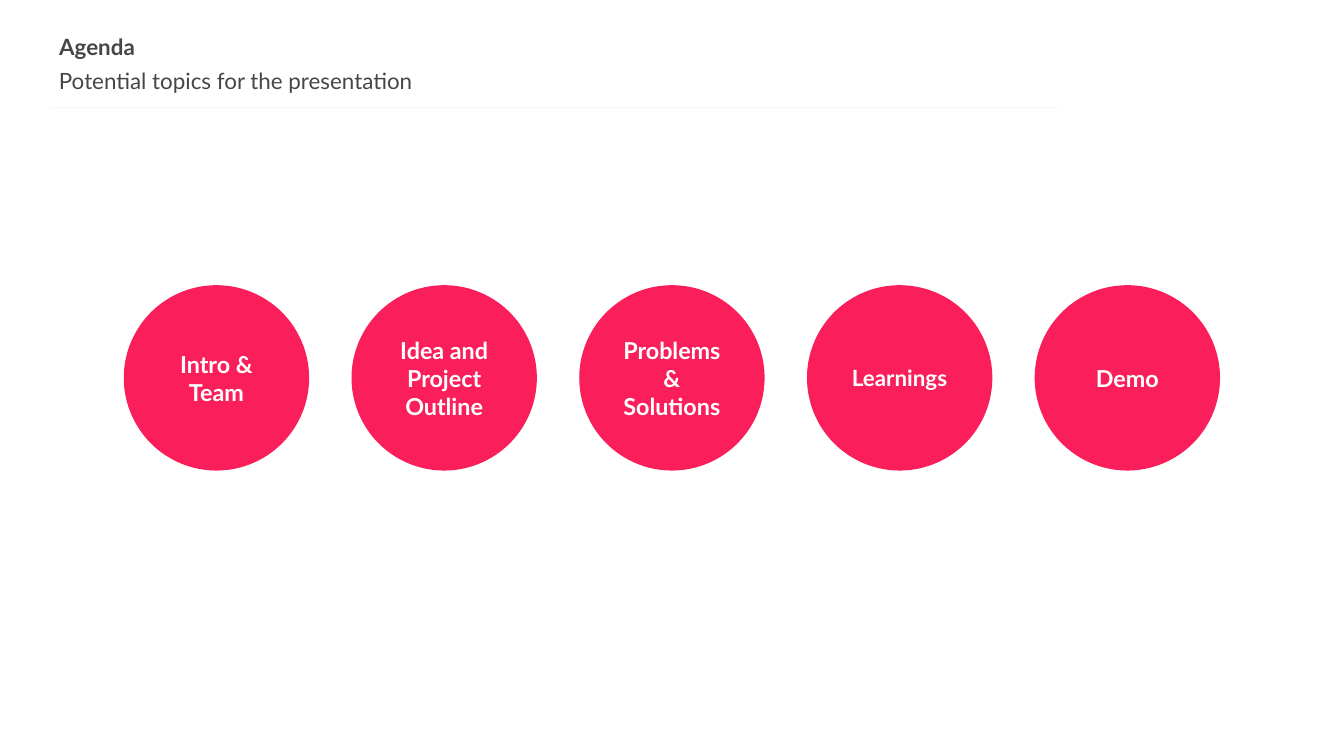
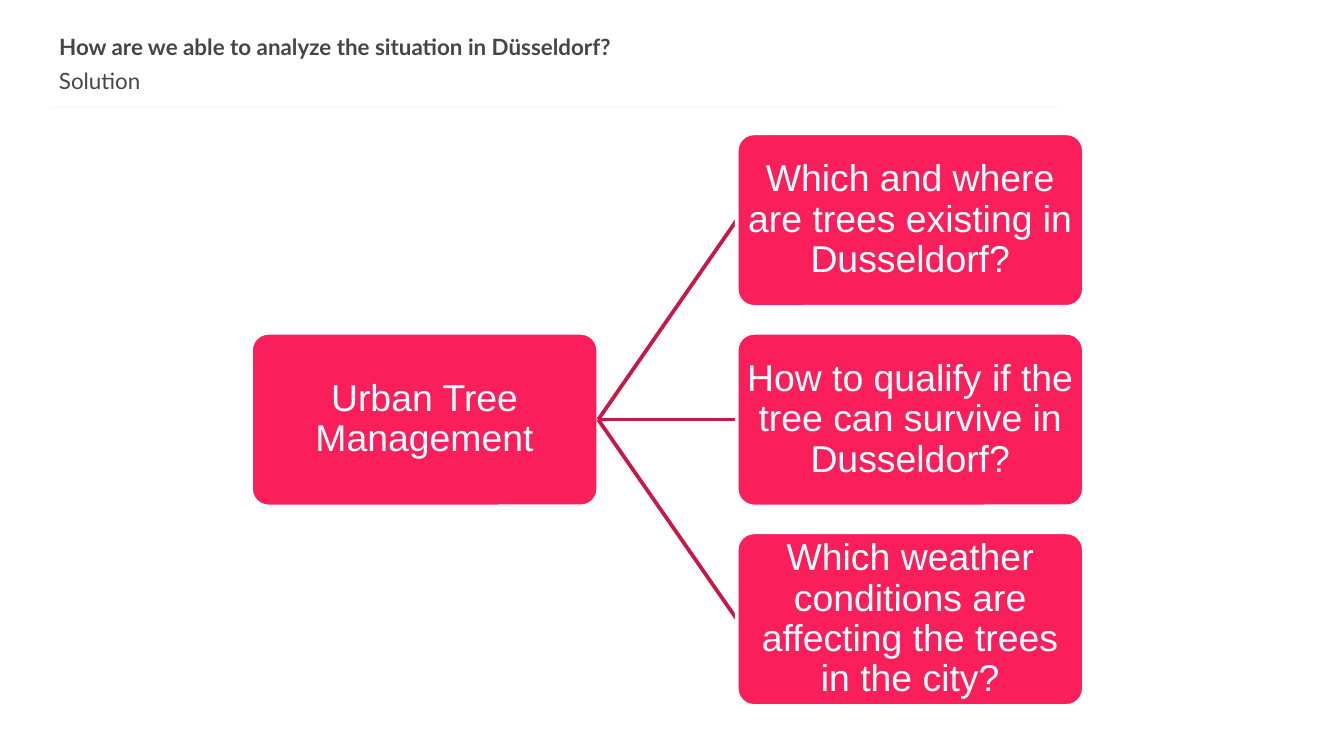
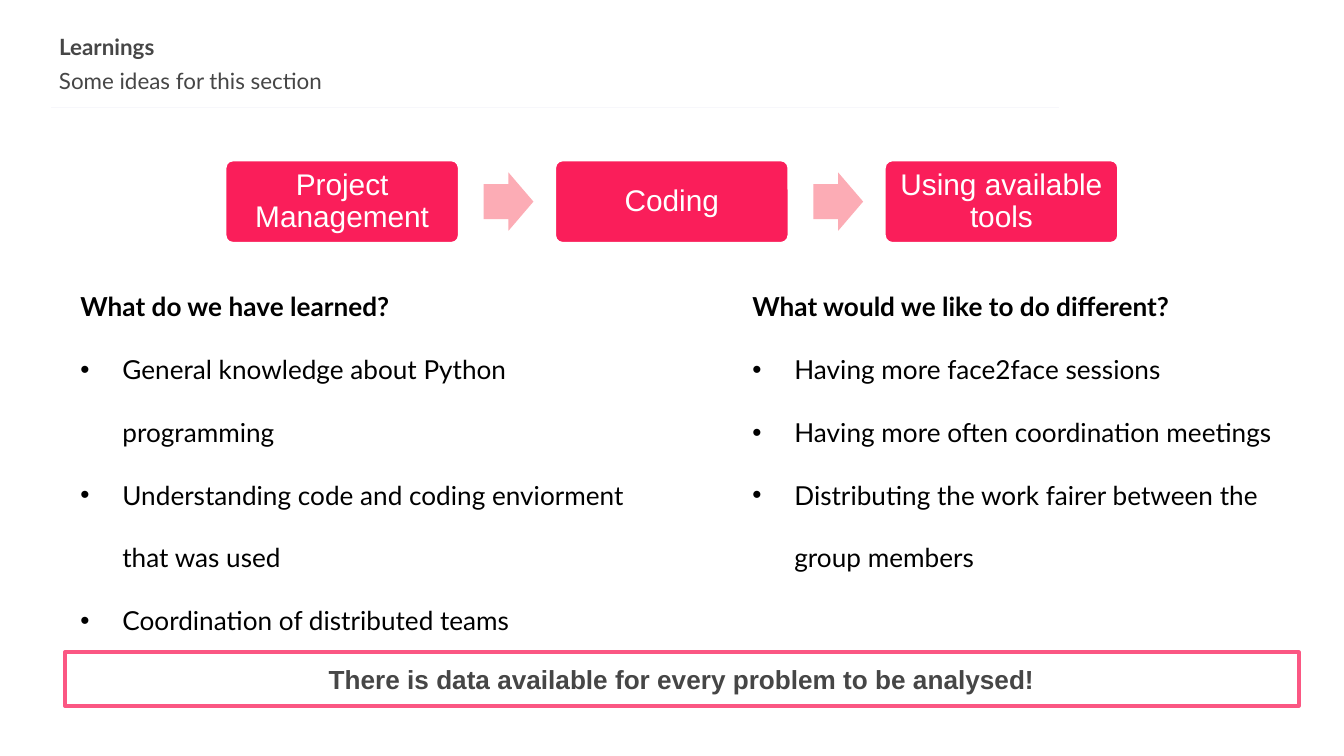
from dataclasses import dataclass
from typing import Any, Optional

from lxml.etree import SubElement
from pptx import Presentation
from pptx.dml.color import RGBColor
from pptx.enum.shapes import MSO_CONNECTOR, MSO_SHAPE
from pptx.enum.text import MSO_ANCHOR, MSO_AUTO_SIZE, PP_ALIGN
from pptx.oxml.ns import qn
from pptx.util import Pt

WHITE = RGBColor(0xFF, 0xFF, 0xFF)
BLACK = RGBColor(0x00, 0x00, 0x00)
GREY = RGBColor(0x46, 0x46, 0x46)
RULE = RGBColor(0xF7, 0xF7, 0xFB)
PINK = RGBColor(0xFA, 0x1E, 0x5A)
PALE_PINK = RGBColor(0xFC, 0xAC, 0xB5)
FRAME_PINK = RGBColor(0xFB, 0x57, 0x83)
CRIMSON = RGBColor(0xC8, 0x18, 0x48)


@dataclass(frozen=True)
class Box:
    x: float
    y: float
    w: float
    h: float

    def lengths(self) -> list[Pt]:
        return [Pt(v) for v in (self.x, self.y, self.w, self.h)]


@dataclass(frozen=True)
class TextStyle:
    size: float
    color: RGBColor
    name: str = "Lato"
    bold: bool = False
    spacing: float = 1.0
    align: PP_ALIGN = PP_ALIGN.LEFT


@dataclass(frozen=True)
class ShapeStyle:
    kind: MSO_SHAPE
    fill: RGBColor
    line: Optional[RGBColor] = None
    adjustments: tuple[float, ...] = ()
    inset_x: float = 7.2
    inset_y: float = 3.6


@dataclass(frozen=True)
class Column:
    x: float
    heading: str
    bullets: tuple[str, ...]


TITLE = TextStyle(12, GREY, bold=True)
SUBTITLE = TextStyle(12, GREY, spacing=1.15)
TOPIC = TextStyle(12.5, WHITE, bold=True, align=PP_ALIGN.CENTER)
TOPIC_SMALL = TextStyle(12, WHITE, bold=True, align=PP_ALIGN.CENTER)
NODE_TEXT = TextStyle(20, WHITE, "Arial", spacing=0.9, align=PP_ALIGN.CENTER)
STEP_TEXT = TextStyle(16, WHITE, "Arial", spacing=0.9, align=PP_ALIGN.CENTER)
HEADING = TextStyle(14, BLACK, bold=True, spacing=2.0)
BULLET = TextStyle(14, BLACK, spacing=2.0)
MESSAGE = TextStyle(14, GREY, "Arial", bold=True, align=PP_ALIGN.CENTER)

CIRCLE = ShapeStyle(MSO_SHAPE.OVAL, PINK, inset_x=5)
NODE = ShapeStyle(MSO_SHAPE.ROUNDED_RECTANGLE, PINK, WHITE, (0.1,), 1, 1)
STEP = ShapeStyle(MSO_SHAPE.ROUNDED_RECTANGLE, PINK, WHITE, (0.1,), 5, 5)
ARROW = ShapeStyle(MSO_SHAPE.RIGHT_ARROW, PALE_PINK, adjustments=(0.6, 0.5))
FRAME = ShapeStyle(MSO_SHAPE.RECTANGLE, WHITE, FRAME_PINK)

TOPICS = ("Intro & Team", "Idea and Project Outline", "Problems & Solutions", "Learnings", "Demo")
QUESTIONS = (
    "Which and where are trees existing in Dusseldorf?",
    "How to qualify if the tree can survive in Dusseldorf?",
    "Which weather conditions are affecting the trees in the city?",
)
STEPS = ("Project Management", "Coding", "Using available tools")
COLUMNS = (
    Column(0, "What do we have learned?", (
        "General knowledge about Python programming",
        "Understanding code and coding enviorment that was used",
        "Coordination of distributed teams",
    )),
    Column(360, "What would we like to do different?", (
        "Having more face2face sessions",
        "Having more often coordination meetings",
        "Distributing the work fairer between the group members",
    )),
)


def set_all(obj: Any, values: dict[str, Any]) -> None:
    for name, value in values.items():
        setattr(obj, name, value)


def set_frame(tf: Any, inset_x: float, inset_y: float, anchor: MSO_ANCHOR) -> None:
    set_all(tf, {
        "word_wrap": True,
        "auto_size": MSO_AUTO_SIZE.NONE,
        "vertical_anchor": anchor,
        "margin_left": Pt(inset_x),
        "margin_right": Pt(inset_x),
        "margin_top": Pt(inset_y),
        "margin_bottom": Pt(inset_y),
    })


def write(p: Any, text: str, style: TextStyle) -> None:
    set_all(p, {"alignment": style.align, "line_spacing": style.spacing})
    r = p.add_run()
    r.text = text
    set_all(r.font, {"name": style.name, "size": Pt(style.size), "bold": style.bold})
    r.font.color.rgb = style.color


def indent(p: Any, left: float, first: float = 0, bullet: str = "") -> None:
    pPr = p._p.get_or_add_pPr()
    pPr.set("marL", str(Pt(left)))
    pPr.set("indent", str(Pt(first)))
    if bullet:
        clr = SubElement(pPr, qn("a:buClr"))
        SubElement(clr, qn("a:srgbClr"), val=str(BLACK))
        SubElement(pPr, qn("a:buFont"), typeface="Arial")
        SubElement(pPr, qn("a:buChar"), char=bullet)


def add_line(s: Any, start: tuple[float, float], end: tuple[float, float],
             color: RGBColor, width: float) -> None:
    points = [Pt(v) for v in (*start, *end)]
    cx = s.shapes.add_connector(MSO_CONNECTOR.STRAIGHT, *points)
    cx.line.color.rgb = color
    cx.line.width = Pt(width)
    SubElement(cx._element.spPr, qn("a:effectLst"))


def add_box(s: Any, box: Box, style: ShapeStyle, text: str = "",
            text_style: TextStyle = MESSAGE) -> None:
    sp = s.shapes.add_shape(style.kind, *box.lengths())
    sp.shadow.inherit = False
    for i, value in enumerate(style.adjustments):
        sp.adjustments[i] = value
    sp.fill.solid()
    sp.fill.fore_color.rgb = style.fill
    if style.line is None:
        sp.line.fill.background()
    else:
        sp.line.color.rgb = style.line
        sp.line.width = Pt(2)
    if text:
        set_frame(sp.text_frame, style.inset_x, style.inset_y, MSO_ANCHOR.MIDDLE)
        write(sp.text_frame.paragraphs[0], text, text_style)


def add_slide(prs: Any, title: str, subtitle: str) -> Any:
    s = prs.slides.add_slide(prs.slide_layouts[5])
    add_line(s, (27.4, 57.6), (567.4, 57.6), RULE, 0.75)
    sp = s.shapes.title
    set_all(sp, dict(zip(("left", "top", "width", "height"), Box(24.5, 10.8, 671, 28.8).lengths())))
    sub = s.shapes.add_textbox(*Box(24.5, 26.6, 576.7, 28.8).lengths())
    for shape, text, style in ((sp, title, TITLE), (sub, subtitle, SUBTITLE)):
        set_frame(shape.text_frame, 7.2, 7.2, MSO_ANCHOR.TOP)
        write(shape.text_frame.paragraphs[0], text, style)
    return s


def add_column(s: Any, column: Column) -> None:
    sp = s.shapes.add_textbox(*Box(column.x, 135.4, 360, 206).lengths())
    tf = sp.text_frame
    set_frame(tf, 7.2, 3.6, MSO_ANCHOR.TOP)
    tf.auto_size = MSO_AUTO_SIZE.SHAPE_TO_FIT_TEXT
    p = tf.paragraphs[0]
    indent(p, 36)
    write(p, column.heading, HEADING)
    for text in column.bullets:
        p = tf.add_paragraph()
        indent(p, 58.5, -22.5, "•")
        write(p, text, BULLET)


def build_agenda(prs: Any) -> None:
    s = add_slide(prs, "Agenda", "Potential topics for the presentation")
    for i, topic in enumerate(TOPICS):
        style = TOPIC_SMALL if topic == "Learnings" else TOPIC
        add_box(s, Box(66.3 + 122 * i, 152.8, 99.3, 99.3), CIRCLE, topic, style)


def build_solution(prs: Any) -> None:
    s = add_slide(prs, "How are we able to analyze the situation in Düsseldorf?", "Solution")
    w, h, pitch = 186, 93, 106.9
    root = Box(134.5, 178.3, w, h)
    add_box(s, root, NODE, "Urban Tree Management", NODE_TEXT)
    start = (root.x + w, root.y + h / 2)
    for i, question in enumerate(QUESTIONS):
        node = Box(394.7, root.y + (i - 1) * pitch, w, h)
        add_line(s, start, (node.x, node.y + h / 2), CRIMSON, 2)
        add_box(s, node, NODE, question, NODE_TEXT)


def build_learnings(prs: Any) -> None:
    s = add_slide(prs, "Learnings", "Some ideas for this section")
    for column in COLUMNS:
        add_column(s, column)
    for i, step in enumerate(STEPS):
        x = 120.3 + 176.6 * i
        add_box(s, Box(x, 85.4, 126, 45.2), STEP, step, STEP_TEXT)
        if i < len(STEPS) - 1:
            add_box(s, Box(x + 138.8, 92.4, 26.7, 31.2), ARROW)
    add_box(s, Box(34.8, 349.4, 661, 28.8), FRAME,
            "There is data available for every problem to be analysed!", MESSAGE)


def main() -> None:
    prs = Presentation()
    set_all(prs, {"slide_width": Pt(720), "slide_height": Pt(405)})
    for build in (build_agenda, build_solution, build_learnings):
        build(prs)
    prs.save("out.pptx")


if __name__ == "__main__":
    main()
